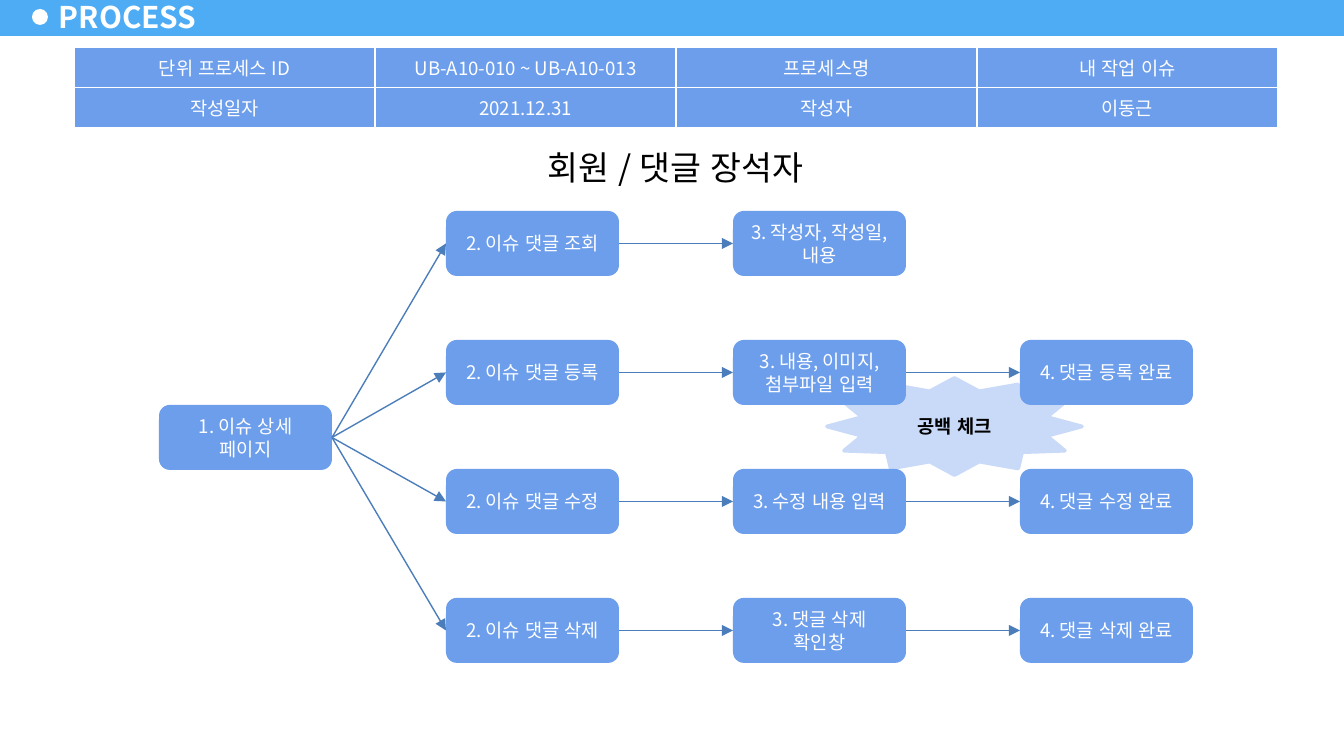
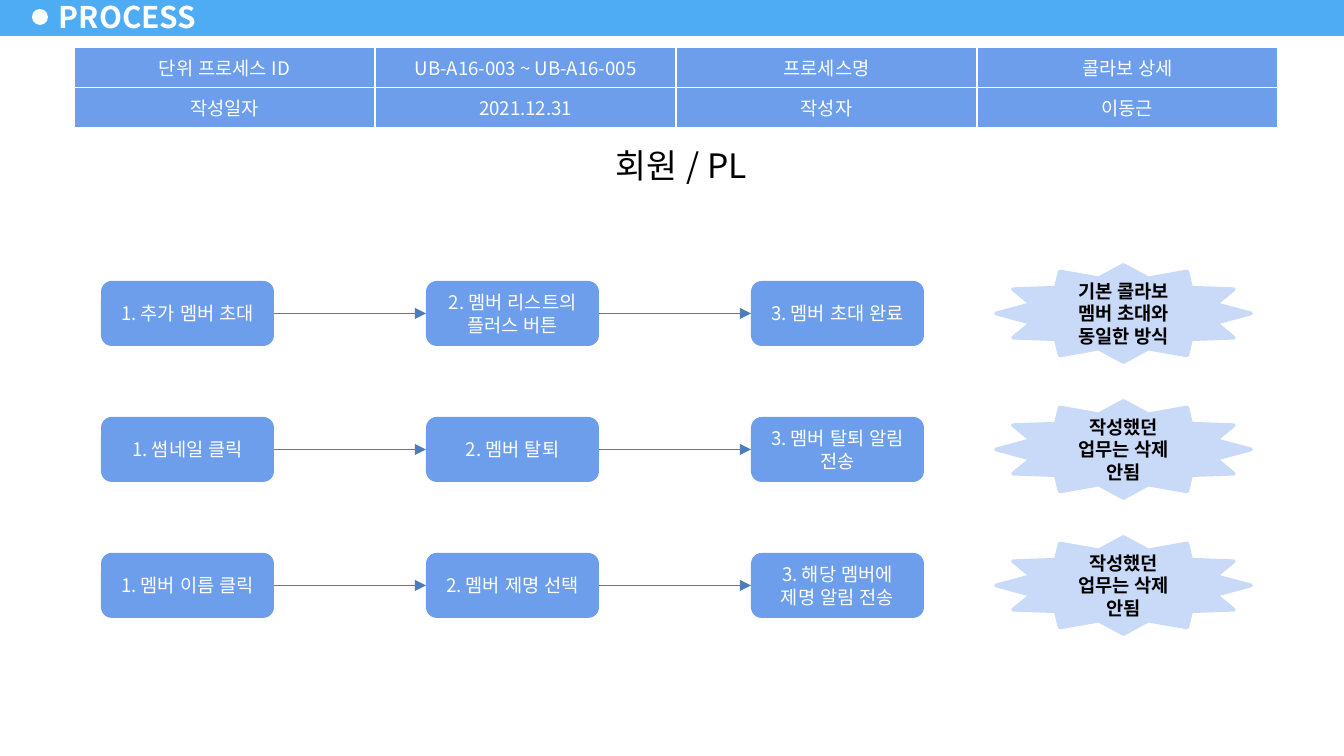
from lxml import etree
from pptx import Presentation
from pptx.dml.color import RGBColor
from pptx.enum.lang import MSO_LANGUAGE_ID
from pptx.enum.shapes import MSO_CONNECTOR, MSO_SHAPE
from pptx.enum.text import MSO_ANCHOR, MSO_AUTO_SIZE, PP_ALIGN
from pptx.oxml.ns import qn
from pptx.util import Inches, Pt

RECT = MSO_SHAPE.RECTANGLE
OVAL = MSO_SHAPE.OVAL
ROUNDED = MSO_SHAPE.ROUNDED_RECTANGLE
STAR = MSO_SHAPE.STAR_12_POINT
STRAIGHT = MSO_CONNECTOR.STRAIGHT
TOP, MIDDLE = MSO_ANCHOR.TOP, MSO_ANCHOR.MIDDLE
LEFT, CENTER = PP_ALIGN.LEFT, PP_ALIGN.CENTER
NO_FIT, GROW = MSO_AUTO_SIZE.NONE, MSO_AUTO_SIZE.SHAPE_TO_FIT_TEXT
KOREAN = MSO_LANGUAGE_ID.KOREAN

FONT = "Noto Sans CJK KR"
WHITE = RGBColor(0xFF, 0xFF, 0xFF)
BLACK = RGBColor(0x00, 0x00, 0x00)
BAND_BLUE = RGBColor(0x4D, 0xAC, 0xF3)
STEP_BLUE = RGBColor(0x6D, 0x9E, 0xEB)
NOTE_BLUE = RGBColor(0xC9, 0xDA, 0xF8)
ARROW_BLUE = RGBColor(0x4A, 0x7D, 0xBA)

SLIDE_W, SLIDE_H = 1344, 756
SCALE = Inches(10) / SLIDE_W
STEP_W, STEP_H = 173, 65
NOTE_W, NOTE_H = 255, 97
COLUMN_W = 301
ROW_HEIGHTS = (39, 38)
LEFT_SITE, RIGHT_SITE = 1, 3

TITLE = "PROCESS"

COMMENT_FLOW = {
    "id": "UB-A10-010 ~ UB-A10-013",
    "name": "내 작업 이슈",
    "actor": "회원 / 댓글 장석자",
    "actor_box": (435, 140, 481, 55),
    "start": "1. 이슈 상세 페이지",
    "start_at": (159, 405),
    "grid": (446, 211, 287, 129),
    "rows": [
        ["2. 이슈 댓글 조회", "3. 작성자, 작성일, 내용"],
        ["2. 이슈 댓글 등록", "3. 내용, 이미지, 첨부파일 입력", "4. 댓글 등록 완료"],
        ["2. 이슈 댓글 수정", "3. 수정 내용 입력", "4. 댓글 수정 완료"],
        ["2. 이슈 댓글 삭제", "3. 댓글 삭제 확인창", "4. 댓글 삭제 완료"],
    ],
    "notes": ["공백 체크"],
    "notes_at": (827, 378),
}

MEMBER_FLOW = {
    "id": "UB-A16-003 ~ UB-A16-005",
    "name": "콜라보 상세",
    "actor": "회원 / PL",
    "actor_box": (542, 138, 278, 55),
    "start": None,
    "grid": (101, 281, 325, 136),
    "rows": [
        ["1. 추가 멤버 초대", "2. 멤버 리스트의 플러스 버튼", "3. 멤버 초대 완료"],
        ["1. 썸네일 클릭", "2. 멤버 탈퇴", "3. 멤버 탈퇴 알림 전송"],
        ["1. 멤버 이름 클릭", "2. 멤버 제명 선택", "3. 해당 멤버에 제명 알림 전송"],
    ],
    "notes": [
        "기본 콜라보 멤버 초대와 동일한 방식",
        "작성했던 업무는 삭제 안됨",
        "작성했던 업무는 삭제 안됨",
    ],
    "notes_at": (996, 265),
}


def px(length):
    return round(length * SCALE)


def write(frame, text, size, color, bold=False, align=CENTER):
    paragraph = frame.paragraphs[0]
    paragraph.alignment = align
    run = paragraph.add_run()
    run.text = text
    font = run.font
    font.size, font.bold, font.name = Pt(size), bold, FONT
    font.color.rgb = color
    font.language_id = KOREAN
    properties = run._r.get_or_add_rPr()
    etree.SubElement(properties, qn("a:ea"), typeface=FONT)


def add_box(slide, kind, box, fill, line=None):
    shape = slide.shapes.add_shape(kind, *map(px, box))
    shape.shadow.inherit = False
    shape.fill.solid()
    shape.fill.fore_color.rgb = fill
    if line is None:
        shape.line.fill.background()
    else:
        shape.line.color.rgb = line
        shape.line.width = Pt(2)
    return shape


def add_label(shape, text, size, color, bold=False, anchor=MIDDLE):
    frame = shape.text_frame
    frame.word_wrap = True
    frame.vertical_anchor = anchor
    write(frame, text, size, color, bold)


def add_step(slide, text, left, top):
    step = add_box(slide, ROUNDED, (left, top, STEP_W, STEP_H), STEP_BLUE)
    add_label(step, text, 10, WHITE)
    return step


def add_note(slide, text, left, top):
    note = add_box(slide, STAR, (left, top, NOTE_W, NOTE_H), NOTE_BLUE, NOTE_BLUE)
    add_label(note, text, 10, BLACK, bold=True)


def add_arrow(slide, source, target):
    arrow = slide.shapes.add_connector(STRAIGHT, 0, 0, 0, 0)
    arrow.begin_connect(source, RIGHT_SITE)
    arrow.end_connect(target, LEFT_SITE)
    arrow.line.color.rgb = ARROW_BLUE
    arrow.line.width = Pt(0.75)
    properties = arrow.element.spPr
    etree.SubElement(properties.find(qn("a:ln")), qn("a:tailEnd"), type="triangle")
    etree.SubElement(properties, qn("a:effectLst"))


def add_header_to_layout(slide):
    band = add_box(slide, RECT, (0, -2, SLIDE_W, 38), BAND_BLUE)
    dot = add_box(slide, OVAL, (32, 9, 16, 16), WHITE)
    for part in (band, dot):
        slide.slide_layout.shapes.element.append(part.element)


def add_title(slide):
    title = slide.shapes.title
    title.left, title.top, title.width, title.height = map(px, (47, -5, 164, 43))
    frame = title.text_frame
    frame.auto_size = NO_FIT
    frame.word_wrap = True
    frame.vertical_anchor = MIDDLE
    frame.margin_left = frame.margin_right = px(12)
    frame.margin_top = frame.margin_bottom = px(6)
    write(frame, TITLE, 16, WHITE, bold=True, align=LEFT)


def add_borders(cell):
    properties = cell._tc.get_or_add_tcPr()
    for side in ("lnL", "lnR", "lnT", "lnB"):
        border = etree.SubElement(properties, qn(f"a:{side}"), w=str(Pt(1)))
        fill = etree.SubElement(border, qn("a:solidFill"))
        etree.SubElement(fill, qn("a:srgbClr"), val=str(WHITE))


def add_summary(slide, flow):
    entries = [
        ["단위 프로세스 ID", flow["id"], "프로세스명", flow["name"]],
        ["작성일자", "2021.12.31", "작성자", "이동근"],
    ]
    box = (74, 47, COLUMN_W * len(entries[0]), sum(ROW_HEIGHTS))
    table = slide.shapes.add_table(len(entries), len(entries[0]), *map(px, box)).table
    table.first_row = table.horz_banding = False
    for column in table.columns:
        column.width = px(COLUMN_W)
    for r, (height, texts) in enumerate(zip(ROW_HEIGHTS, entries)):
        table.rows[r].height = px(height)
        for c, text in enumerate(texts):
            cell = table.cell(r, c)
            add_borders(cell)
            cell.fill.solid()
            cell.fill.fore_color.rgb = STEP_BLUE
            cell.vertical_anchor = MIDDLE
            write(cell.text_frame, text, 10, WHITE)


def add_flow(slide, flow):
    add_title(slide)
    add_summary(slide, flow)

    actor = add_box(slide, RECT, flow["actor_box"], WHITE)
    add_label(actor, flow["actor"], 18, BLACK, anchor=TOP)
    actor.text_frame.auto_size = GROW

    left, top, step_x, step_y = flow["grid"]
    note_left, note_top = flow["notes_at"]
    for i, text in enumerate(flow["notes"]):
        add_note(slide, text, note_left, note_top + i * step_y)

    start = add_step(slide, flow["start"], *flow["start_at"]) if flow["start"] else None
    for r, texts in enumerate(flow["rows"]):
        previous = start
        for c, text in enumerate(texts):
            step = add_step(slide, text, left + c * step_x, top + r * step_y)
            if previous is not None:
                add_arrow(slide, previous, step)
            previous = step


def main():
    deck = Presentation()
    deck.slide_width, deck.slide_height = px(SLIDE_W), px(SLIDE_H)
    title_only = deck.slide_layouts[5]
    for i, flow in enumerate((COMMENT_FLOW, MEMBER_FLOW)):
        slide = deck.slides.add_slide(title_only)
        if i == 0:
            add_header_to_layout(slide)
        add_flow(slide, flow)
    deck.save("out.pptx")


if __name__ == "__main__":
    main()
